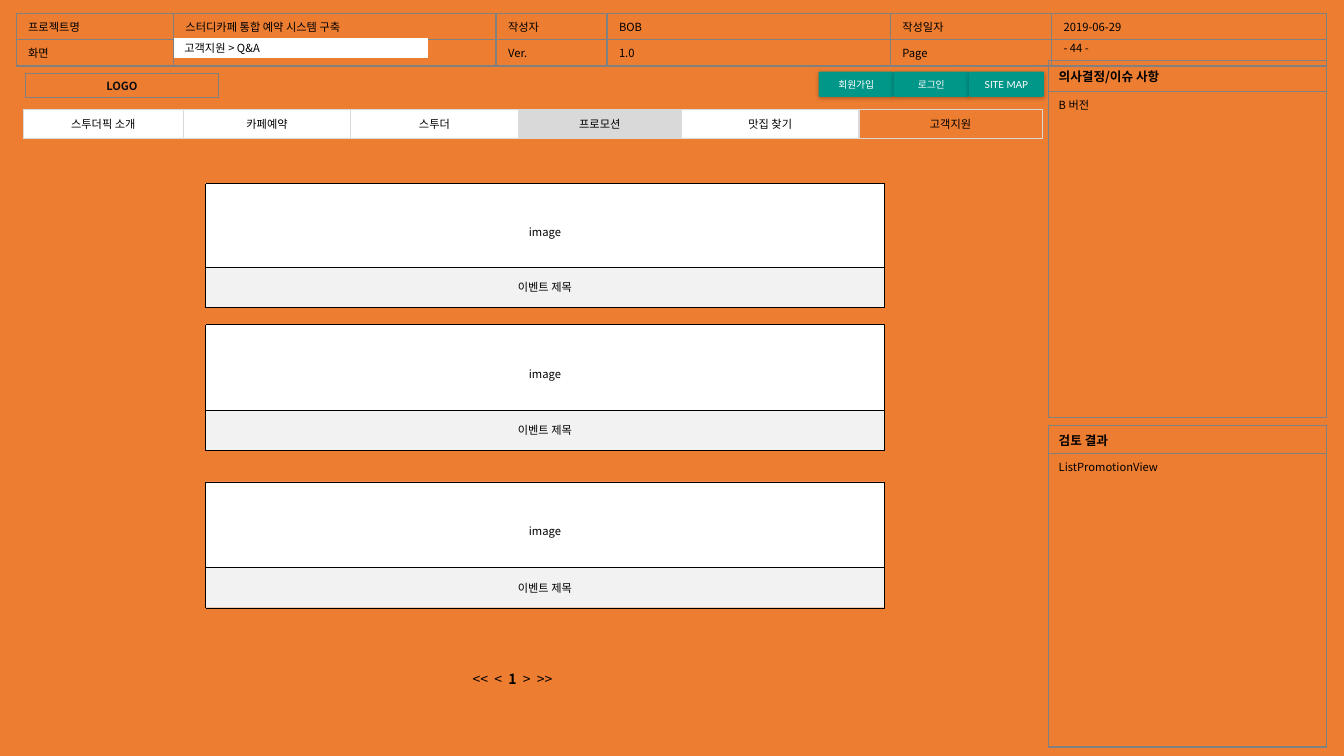
from lxml.etree import SubElement
from pptx import Presentation
from pptx.dml.color import RGBColor
from pptx.enum.dml import MSO_LINE
from pptx.enum.shapes import MSO_SHAPE as Shape
from pptx.enum.text import MSO_ANCHOR as Anchor, PP_ALIGN as Align
from pptx.oxml.ns import qn
from pptx.util import Inches, Pt

KOREAN_FONT = "Noto Sans CJK KR"
BLACK, WHITE, GREY, LIGHT = "000000", "FFFFFF", "808080", "D9D9D9"


def color(value):
    return RGBColor.from_string(value)


def paint(item, value):
    if value:
        item.fill.solid()
        item.fill.fore_color.rgb = color(value)
    else:
        item.fill.background()


def format_run(run, size=8, ink=BLACK, bold=False, font=KOREAN_FONT):
    run.font.size = Pt(size)
    run.font.bold = bold
    run.font.name = font
    run.font.color.rgb = color(ink)
    SubElement(run.font._element, qn("a:ea"), typeface=font)


def write(text_frame, text, align=Align.LEFT, **style):
    text_frame.text = text
    paragraph = text_frame.paragraphs[0]
    paragraph.alignment = align
    for run in paragraph.runs:
        format_run(run, **style)
    if not text:
        SubElement(paragraph._p, qn("a:endParaRPr"), sz="800")


def add_box(shapes, box, text, fill=None, line=None, width=1, kind=Shape.RECTANGLE,
            align=Align.CENTER, **style):
    shape = shapes.add_shape(kind, *map(Inches, box))
    shape.shadow.inherit = False
    paint(shape, fill)
    if line:
        shape.line.color.rgb = color(line)
        shape.line.width = Pt(width)
    else:
        shape.line.fill.background()
    shape.text_frame.word_wrap = True
    shape.text_frame.vertical_anchor = Anchor.MIDDLE
    write(shape.text_frame, text, align, **style)
    return shape


def add_label(slide, box, wrap):
    text_frame = slide.shapes.add_textbox(*map(Inches, box)).text_frame
    text_frame.word_wrap = wrap
    return text_frame


def add_border(cell, value):
    properties = cell._tc.get_or_add_tcPr()
    for side in ("lnL", "lnR", "lnT", "lnB"):
        line = SubElement(properties, qn(f"a:{side}"), w=str(Pt(1)))
        fill = SubElement(line, qn("a:solidFill"))
        SubElement(fill, qn("a:srgbClr"), val=value)


def add_grid(slide, left, top, columns, rows, border):
    frame = slide.shapes.add_table(
        len(rows), len(columns), *map(Inches, (left, top, sum(columns), sum(rows))))
    table = frame.table
    table.first_row = table.horz_banding = False
    for column, width in zip(table.columns, columns):
        column.width = Inches(width)
    for row, height in zip(table.rows, rows):
        row.height = Inches(height)
    for cell in table.iter_cells():
        add_border(cell, border)
        paint(cell, None)
    return table


def add_header(slide, left, top):
    rows = [
        ["프로젝트명", "스터디카페 통합 예약 시스템 구축", "작성자", "BOB", "작성일자", "2019-06-29"],
        ["화면", "", "Ver.", "1.0", "Page", ""],
    ]
    table = add_grid(slide, left, top, [1.56, 3.2, 1.1, 2.81, 1.6, 2.73], [0.24] * 2, GREY)
    for cell, text in zip(table.iter_cells(), sum(rows, [])):
        cell.margin_left = cell.margin_right = Inches(0.12)
        write(cell.text_frame, text)
    add_box(slide.shapes, (left + 1.57, top + 0.25, 2.51, 0.19), "고객지원 > Q&A",
            WHITE, WHITE, align=Align.LEFT)
    write(add_label(slide, (left + 10.29, top + 0.23, 1.07, 0.24), True), "- 44 -")


def add_note_panel(slide, box, heading_height, heading, note):
    left, top, width, height = box
    table = add_grid(slide, left, top, [width], [heading_height, height - heading_height], GREY)
    heading_cell, note_cell = table.iter_cells()
    heading_cell.vertical_anchor = Anchor.MIDDLE
    write(heading_cell.text_frame, heading, size=9, bold=True)
    write(note_cell.text_frame, note)


def add_buttons(slide, left, top):
    width = 0.745
    for index, text in enumerate(["회원가입", "로그인", "SITE MAP"]):
        button = add_box(slide.shapes, (left + index * width, top, width, 0.25), text, "009688",
                         kind=Shape.ROUNDED_RECTANGLE, size=7, ink=WHITE, font="Lato")
        button.adjustments[0] = 0.05
        button.text_frame.margin_left = button.text_frame.margin_right = Inches(0.08)
        effects = button._element.spPr.find(qn("a:effectLst"))
        shadow = SubElement(effects, qn("a:outerShdw"), blurRad=str(Pt(3)), dist=str(Pt(1)),
                            dir="5400000", algn="t", rotWithShape="0")
        shade = SubElement(shadow, qn("a:srgbClr"), val=BLACK)
        SubElement(shade, qn("a:alpha"), val="25000")


def add_menu(slide, left, top):
    entries = [
        ("스투더픽 소개", 1.59, WHITE), ("카페예약", 1.66, WHITE), ("스투더", 1.66, WHITE),
        ("프로모션", 1.62, LIGHT), ("맛집 찾기", 1.76, WHITE), ("고객지원", 1.82, None),
    ]
    table = add_grid(slide, left, top, [width for _, width, _ in entries], [0.28], LIGHT)
    for cell, (text, _, fill) in zip(table.iter_cells(), entries):
        paint(cell, fill)
        cell.vertical_anchor = Anchor.MIDDLE
        write(cell.text_frame, text, Align.CENTER)


def add_event_card(slide, left, top, image_height):
    group = slide.shapes.add_group_shape()
    parts = [("image", top, image_height, WHITE), ("이벤트 제목", top + image_height, 0.4, "F2F2F2")]
    for text, part_top, height, fill in parts:
        part = add_box(group.shapes, (left, part_top, 6.73, height), text, fill, BLACK, 0.25)
        part.line.dash_style = MSO_LINE.ROUND_DOT
        if text == "image":
            part.text_frame.margin_top = Inches(0.18)


def add_pager(slide, box):
    paragraph = add_label(slide, box, False).paragraphs[0]
    for index, mark in enumerate(["<<", "<", "1", ">", ">>"]):
        if index:
            space = paragraph.add_run()
            space.text = " "
            format_run(space, size=10)
            space.font._element.set("spc", "225")
        run = paragraph.add_run()
        run.text = mark
        format_run(run, size=10, bold=mark == "1")


def main():
    presentation = Presentation()
    presentation.slide_width = Inches(13.33)
    presentation.slide_height = Inches(7.5)
    slide = presentation.slides.add_slide(presentation.slide_layouts[6])
    paint(slide.background, "ED7D31")
    add_header(slide, 0.16, 0.13)
    add_note_panel(slide, (10.4, 0.6, 2.76, 3.54), 0.31, "의사결정/이슈 사항", "B 버전")
    add_note_panel(slide, (10.4, 4.22, 2.76, 3.19), 0.28, "검토 결과", "ListPromotionView")
    add_buttons(slide, 8.12, 0.71)
    add_menu(slide, 0.23, 1.09)
    add_box(slide.shapes, (0.25, 0.73, 1.92, 0.24), "LOGO", None, GREY, 0.75,
            ink="0D0D0D", bold=True)
    for top, image_height in [(1.82, 0.83), (3.22, 0.85), (4.78, 0.85)]:
        add_event_card(slide, 2.04, top, image_height)
    add_pager(slide, (4.59, 6.6, 1.26, 0.27))
    presentation.save("out.pptx")


if __name__ == "__main__":
    main()
